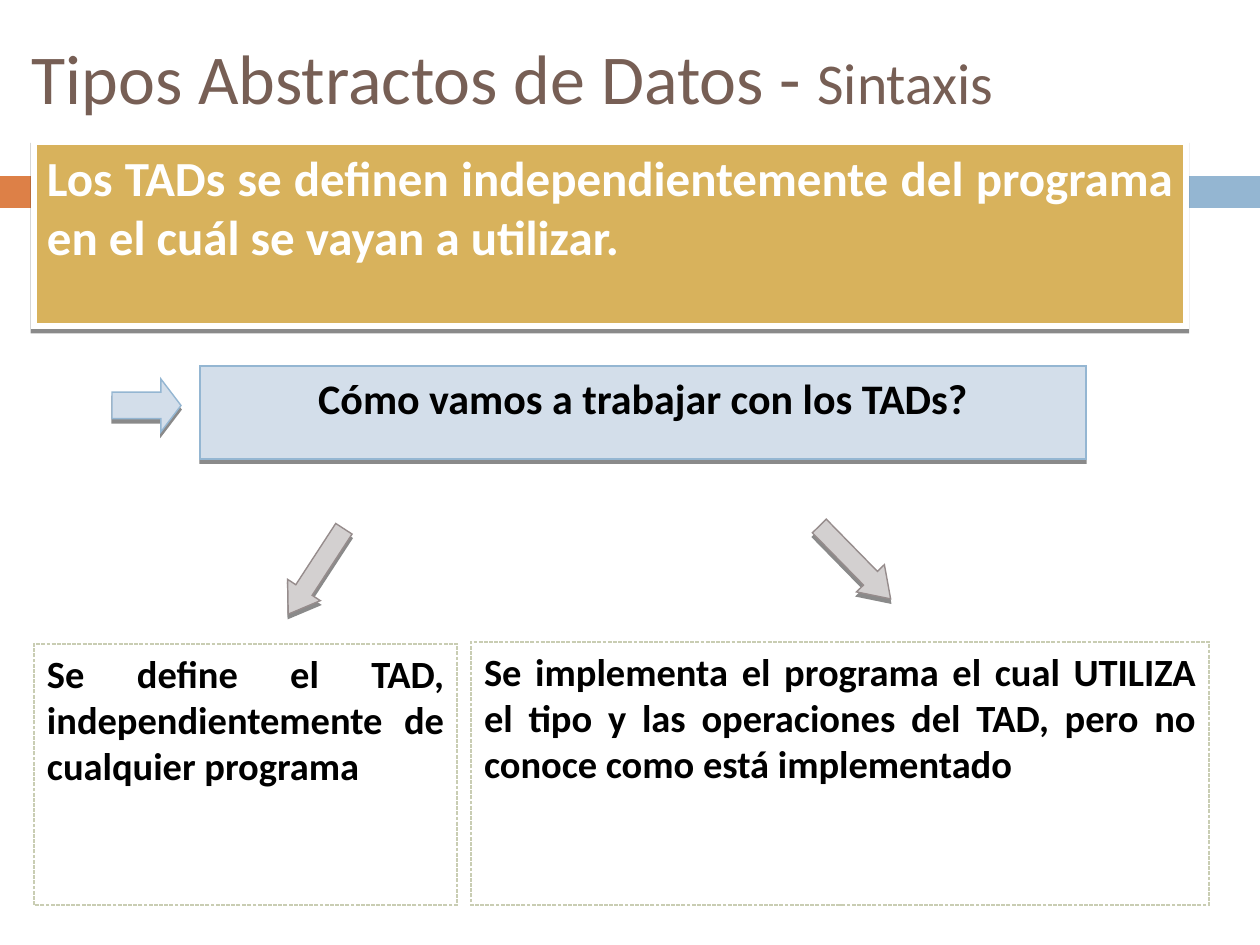
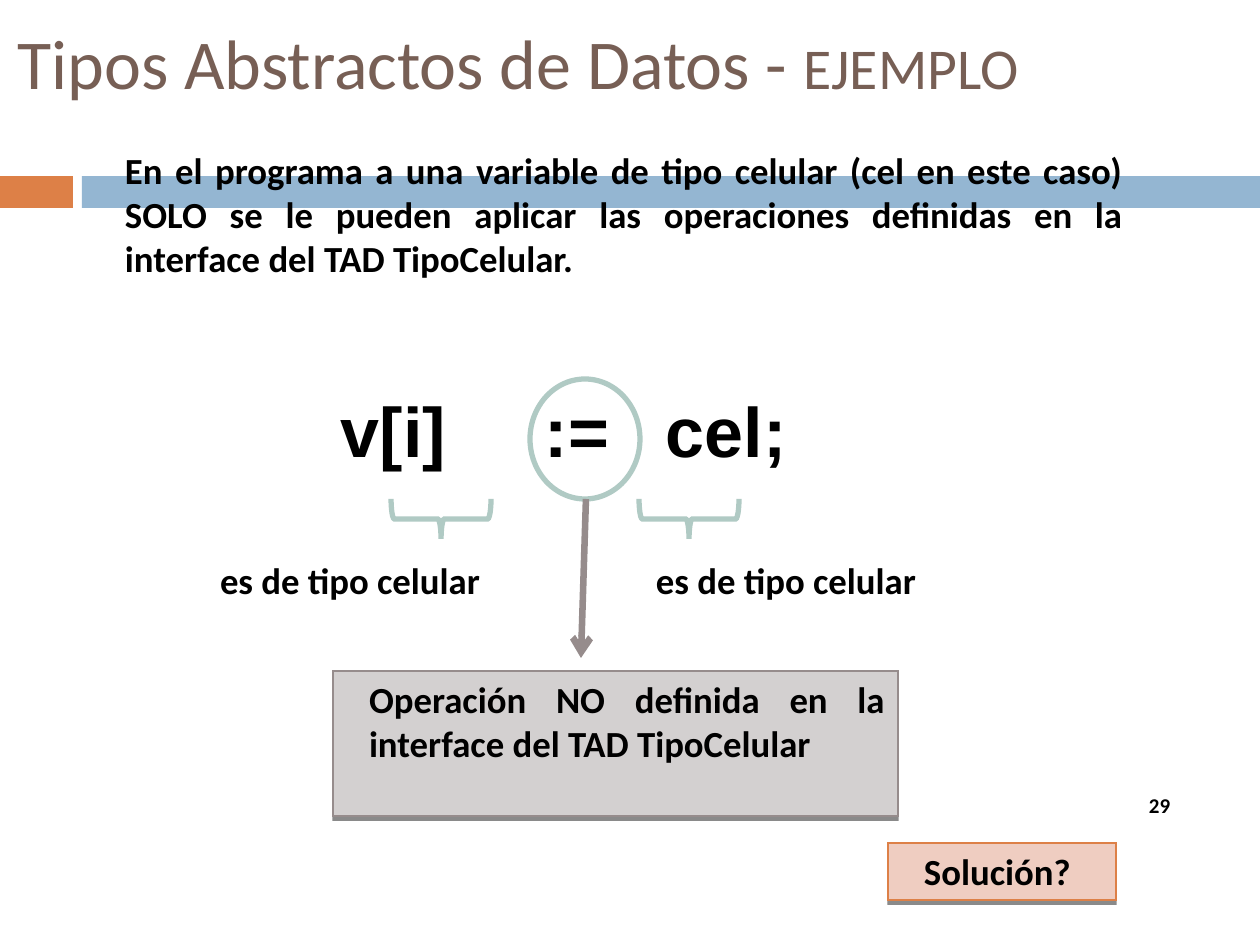
"""Builds two slides on the syntax and use of abstract data types."""
from lxml import etree
from pptx import Presentation
from pptx.dml.color import RGBColor
from pptx.enum.dml import MSO_LINE
from pptx.enum.shapes import MSO_CONNECTOR, MSO_SHAPE
from pptx.enum.text import MSO_ANCHOR, MSO_AUTO_SIZE, PP_ALIGN
from pptx.oxml.ns import qn
from pptx.util import Pt

RECTANGLE = MSO_SHAPE.RECTANGLE
ARROW = MSO_SHAPE.RIGHT_ARROW
BRACE = MSO_SHAPE.RIGHT_BRACE
OVAL = MSO_SHAPE.OVAL
STRAIGHT = MSO_CONNECTOR.STRAIGHT
SHORT_DASH = MSO_LINE.SQUARE_DOT
TOP, MIDDLE = MSO_ANCHOR.TOP, MSO_ANCHOR.MIDDLE
NO_FIT = MSO_AUTO_SIZE.NONE
LEFT, CENTER, JUSTIFY = PP_ALIGN.LEFT, PP_ALIGN.CENTER, PP_ALIGN.JUSTIFY
PX = 7257


class Theme:
    font, code_font = "Calibri", "Arial"
    white, black, brown = "FFFFFF", "000000", "775F55"
    orange, blue, gold = "DD8047", "94B6D2", "D8B25C"
    pale_blue, pale_grey, pale_orange = "D3DEEA", "D3D0D0", "EFCDC1"
    grey, sage, teal = "968C8C", "C9CDB3", "B0CAC4"
    title, subtitle, code = 40, 33, 40
    lead, question, step, note, number = 28, 24, 22, 21, 12
    thin, dashed, medium, thick = 0.79, 0.75, 3, 3.75


def add_block(page, kind, bounds, fill=None, line=None, weight=Theme.thin, shadow=False):
    block = page.shapes.add_shape(kind, *[length * PX for length in bounds])
    block.shadow.inherit = False
    if fill:
        block.fill.solid()
        block.fill.fore_color.rgb = RGBColor.from_string(fill)
    else:
        block.fill.background()
    if line:
        block.line.color.rgb = RGBColor.from_string(line)
        block.line.width = Pt(weight)
        etree.SubElement(block.line._get_or_add_ln(), qn("a:miter"), lim="800000")
    else:
        block.line.fill.background()
    if shadow:
        effects = block.element.spPr.find(qn("a:effectLst"))
        outer = etree.SubElement(effects, qn("a:outerShdw"), blurRad="0", dist="30480",
                                 dir="5400000", rotWithShape="0")
        color = etree.SubElement(outer, qn("a:srgbClr"), val=Theme.black)
        etree.SubElement(color, qn("a:alpha"), val="45000")
    return block


def write(box, text, size, align=JUSTIFY, inset=13, color=Theme.black, font=Theme.font):
    frame = box.text_frame
    frame.word_wrap = True
    frame.vertical_anchor = TOP
    frame.margin_left, frame.margin_right = inset * PX, 13 * PX
    frame.margin_top = frame.margin_bottom = 6 * PX
    frame.text = text
    para = frame.paragraphs[0]
    para.alignment = align
    for span in para.runs:
        span.font.name, span.font.size, span.font.bold = font, Pt(size), True
        span.font.color.rgb = RGBColor.from_string(color)


deck = Presentation()
deck.slide_width, deck.slide_height = 1260 * PX, 945 * PX
layout = deck.slide_layouts[5]

pages = []
for topic, bounds in (
    ("Sintaxis", (19, 23, 1176, 106)),
    ("EJEMPLO", (5, 8, 1231, 107)),
):
    page = deck.slides.add_slide(layout)
    pages.append(page)
    title = page.shapes.title
    title.left, title.top, title.width, title.height = [length * PX for length in bounds]
    frame = title.text_frame
    frame.auto_size = NO_FIT
    frame.vertical_anchor = MIDDLE
    para = frame.paragraphs[0]
    para.alignment = LEFT
    for text, size in (("Tipos Abstractos de Datos - ", Theme.title), (topic, Theme.subtitle)):
        span = para.add_run()
        span.text = text
        span.font.name, span.font.size = Theme.font, Pt(size)
        span.font.color.rgb = RGBColor.from_string(Theme.brown)
syntax_page, example_page = pages

for number, (left, width, fill) in enumerate(((0, 73, Theme.orange), (82, 1178, Theme.blue))):
    band = add_block(syntax_page, RECTANGLE, (left, 176, width, 32), fill)
    band.element.nvSpPr.cNvPr.set("id", str(90 + number))
    layout.shapes.element.append(band.element)

lead = add_block(syntax_page, RECTANGLE, (34, 142, 1152, 184), Theme.gold,
                 Theme.white, Theme.thick, True)
write(lead, "Los TADs se definen independientemente del programa en el cuál se vayan a utilizar.",
      Theme.lead, color=Theme.white)

question = add_block(syntax_page, RECTANGLE, (200, 366, 886, 93), Theme.pale_blue,
                     Theme.blue, shadow=True)
write(question, "Cómo vamos a trabajar con los TADs?", Theme.question, CENTER)

for bounds, angle, head, fill, line in (
    ((112, 379, 69, 53), 0, 0.38, Theme.pale_blue, Theme.blue),
    ((265, 552, 102, 39), 123.1, 0.74, Theme.pale_grey, Theme.grey),
    ((804, 543, 102, 39), 45.6, 0.74, Theme.pale_grey, Theme.grey),
):
    arrow = add_block(syntax_page, ARROW, bounds, fill, line, shadow=True)
    arrow.rotation = angle
    arrow.adjustments[1] = head

for bounds, text in (
    ((34, 644, 423, 261), "Se define el TAD, independientemente de cualquier programa"),
    ((471, 642, 738, 263), "Se implementa el programa el cual UTILIZA el tipo y las operaciones "
                           "del TAD, pero no conoce como está implementado"),
):
    step = add_block(syntax_page, RECTANGLE, bounds, line=Theme.sage, weight=Theme.dashed)
    step.line.dash_style = SHORT_DASH
    write(step, text, Theme.step)

for bounds, text in (
    ((89, 142, 1047, 145), "En el programa a una variable de tipo celular (cel en este caso) SOLO se le "
                           "pueden aplicar las operaciones definidas en la interface del TAD TipoCelular."),
    ((184, 552, 387, 57), "es de tipo celular"),
    ((620, 552, 357, 57), "es de tipo celular"),
):
    note = example_page.shapes.add_textbox(*[length * PX for length in bounds])
    write(note, text, Theme.note, inset=36)

for center in (441, 689):
    brace = add_block(example_page, BRACE, (center - 20, 469, 40, 100),
                      line=Theme.teal, weight=Theme.medium)
    brace.rotation = 90

add_block(example_page, OVAL, (530, 379, 110, 120), line=Theme.teal, weight=Theme.medium)

pointer = example_page.shapes.add_connector(STRAIGHT, 586 * PX, 499 * PX, 581 * PX, 658 * PX)
pointer.line.color.rgb = RGBColor.from_string(Theme.grey)
pointer.line.width = Pt(Theme.thick)
etree.SubElement(pointer.line._get_or_add_ln(), qn("a:tailEnd"), type="arrow")
etree.SubElement(pointer.element.spPr, qn("a:effectLst"))

for bounds, text, fill, line in (
    ((333, 671, 565, 145), "Operación NO definida en la interface del TAD TipoCelular",
     Theme.pale_grey, Theme.grey),
    ((888, 843, 228, 57), "Solución?", Theme.pale_orange, Theme.orange),
):
    answer = add_block(example_page, RECTANGLE, bounds, fill, line, shadow=True)
    write(answer, text, Theme.note, inset=36)

code = example_page.shapes.add_textbox(305 * PX, 382 * PX, 560 * PX, 97 * PX)
write(code, "v[i]\t:=\tcel;", Theme.code, LEFT, 36, font=Theme.code_font)
tabs = etree.SubElement(code.text_frame.paragraphs[0]._p.get_or_add_pPr(), qn("a:tabLst"))
for stop in (204, 325):
    etree.SubElement(tabs, qn("a:tab"), pos=str(stop * PX), algn="l")

page_number = example_page.shapes.add_textbox(1136 * PX, 787 * PX, 52 * PX, 38 * PX)
write(page_number, "29", Theme.number)

deck.save("out.pptx")
